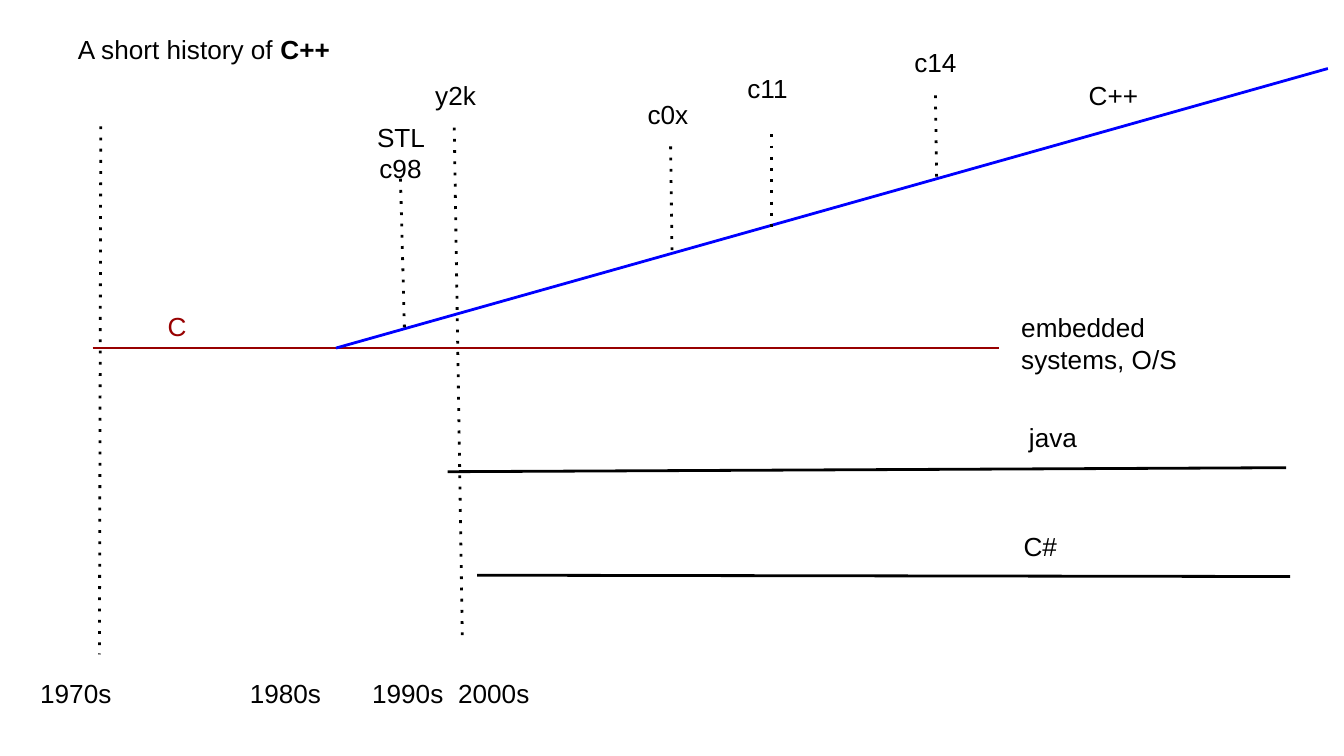
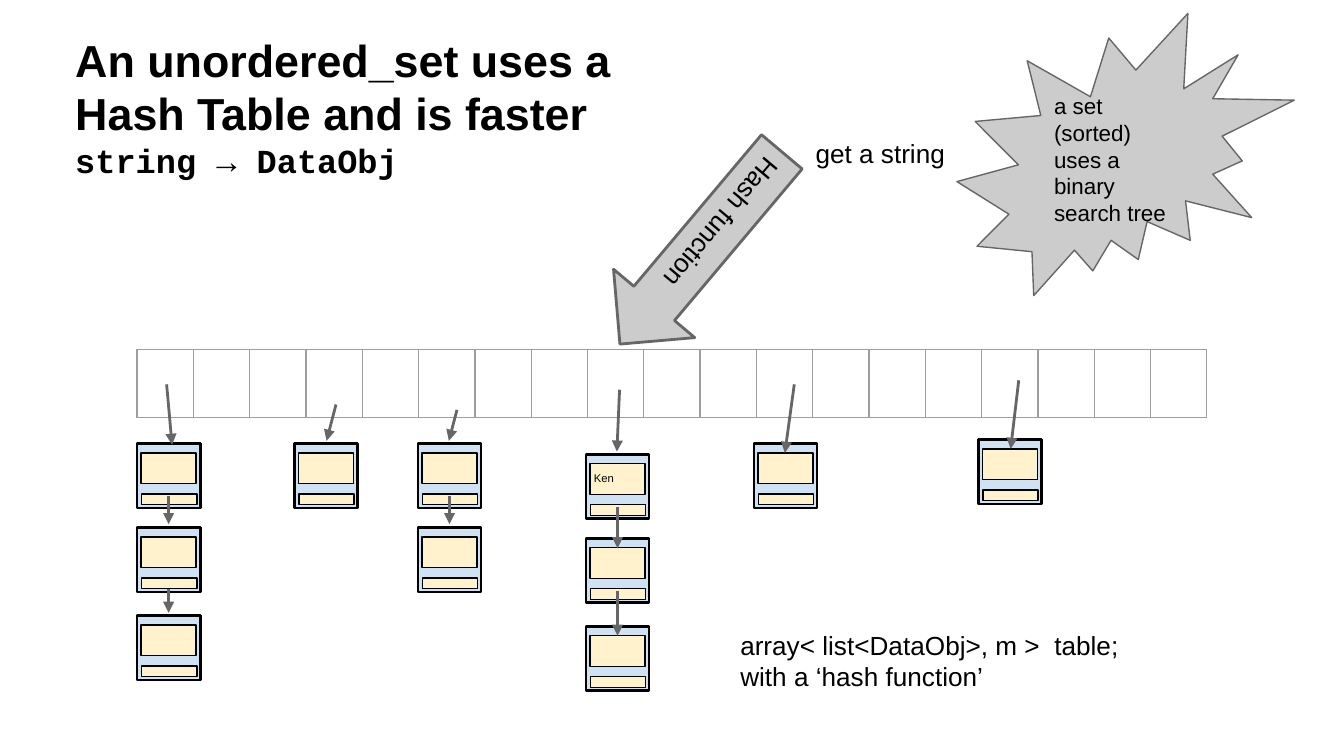
from lxml.etree import SubElement
from pptx import Presentation
from pptx.dml.color import RGBColor
from pptx.enum.shapes import MSO_CONNECTOR, MSO_SHAPE
from pptx.enum.text import MSO_ANCHOR, MSO_AUTO_SIZE, PP_ALIGN
from pptx.oxml.ns import qn
from pptx.util import Inches, Pt

COLORS = {
    "black": "000000", "c": "980000", "cpp": "0000FF", "arrow": "666666",
    "grid": "9E9E9E", "callout": "CCCCCC", "record": "CFE2F3", "field": "FFF2CC",
}
COLS, ROWS = 100, 56.25  # grid of tenths of an inch
INSET = Inches(0.1)
FRAME = {
    "word_wrap": True, "auto_size": MSO_AUTO_SIZE.NONE,
    "margin_left": INSET, "margin_right": INSET,
    "margin_top": INSET, "margin_bottom": INSET,
}
FONT = {"name": "Arial", "size": Pt(14), "bold": False}
HEADING = {"size": Pt(24), "bold": True}
CODE = {"name": "Courier New", "size": Pt(18), "bold": True}


def grid(*values):
    return [Inches(v / 10) for v in values]


def rgb(name):
    return RGBColor.from_string(COLORS[name])


def apply(obj, values):
    for key, value in values.items():
        setattr(obj, key, value)


class Deck:
    def __init__(self):
        self.prs = Presentation()
        self.prs.slide_width, self.prs.slide_height = grid(COLS, ROWS)
        self.s = None

    def new_slide(self):
        self.s = self.prs.slides.add_slide(self.prs.slide_layouts[5])

    def set_text(self, sp, paragraphs, align=PP_ALIGN.LEFT,
                 anchor=MSO_ANCHOR.TOP, color="black", tabs=()):
        """Fill a shape; each paragraph is a list of (text, format) runs."""
        tf = sp.text_frame
        apply(tf, FRAME)
        tf.vertical_anchor = anchor
        for i, runs in enumerate(paragraphs):
            p = tf.add_paragraph() if i else tf.paragraphs[0]
            p.alignment = align
            if tabs:
                stops = SubElement(p._p.get_or_add_pPr(), qn("a:tabLst"))
                for pos in grid(*tabs):
                    SubElement(stops, qn("a:tab"), pos=str(pos), algn="l")
            for text, style in runs:
                if text == "\n":
                    p.add_line_break()
                    continue
                r = p.add_run()
                r.text = text
                apply(r.font, {**FONT, **style})
                r.font.color.rgb = rgb(color)

    def title(self, box, runs, anchor=MSO_ANCHOR.TOP):
        sp = self.s.shapes.title
        apply(sp, dict(zip(("left", "top", "width", "height"), grid(*box))))
        self.set_text(sp, [runs], anchor=anchor)

    def text(self, box, *lines, style=None, **options):
        sp = self.s.shapes.add_textbox(*grid(*box))
        self.set_text(sp, [[(line, style or {})] for line in lines], **options)

    def label(self, box, line):
        self.text(box, line, align=PP_ALIGN.CENTER, anchor=MSO_ANCHOR.MIDDLE)

    def line(self, start, end, color="black", dash=None, arrow=False):
        sp = self.s.shapes.add_connector(
            MSO_CONNECTOR.STRAIGHT, *grid(*start, *end))
        sp.line.color.rgb = rgb(color)
        sp.line.width = Pt(1.5)
        spPr = sp._element.spPr
        ln = spPr.find(qn("a:ln"))
        if dash:
            SubElement(ln, qn("a:prstDash"), val=dash)
        if arrow:
            SubElement(ln, qn("a:tailEnd"), type="triangle")
        SubElement(spPr, qn("a:effectLst"))

    def shape(self, kind, box, fill, line, width, parent=None):
        sp = (parent or self.s).shapes.add_shape(kind, *grid(*box))
        sp.shadow.inherit = False
        sp.fill.solid()
        sp.fill.fore_color.rgb = rgb(fill)
        sp.line.color.rgb = rgb(line)
        sp.line.width = Pt(width)
        return sp

    def callout(self, kind, box, text, size, width, rotation=0):
        sp = self.shape(kind, box, "callout", "arrow", width)
        sp.rotation = rotation
        self.set_text(sp, [[(text, {"size": Pt(size)})]],
                      anchor=MSO_ANCHOR.MIDDLE)

    def record(self, left, top):
        """A list node: a data field above a narrow pointer field."""
        group = self.s.shapes.add_group_shape()
        for dx, dy, w, h, fill, width in (
                (0, 0, 4.7, 4.8, "record", 1.5),
                (0.35, 3.75, 4.1, 0.8, "field", 0.75),
                (0.3, 0.7, 4.1, 2.3, "field", 0.75)):
            self.shape(MSO_SHAPE.RECTANGLE, (left + dx, top + dy, w, h),
                       fill, "black", width, group)

    def empty_row(self, left, top, count, col_width, height):
        tbl = self.s.shapes.add_table(
            1, count, *grid(left, top, count * col_width, height)).table
        apply(tbl, {"first_row": False, "horz_banding": False})
        for i in range(count):
            tbl.columns[i].width = grid(col_width)[0]
            cell = tbl.cell(0, i)
            apply(cell, {k: INSET for k in FRAME if k.startswith("margin")})
            tcPr = cell._tc.get_or_add_tcPr()
            for side in ("lnL", "lnR", "lnT", "lnB"):
                ln = SubElement(tcPr, qn(f"a:{side}"), w=str(Pt(0.75)))
                fill = SubElement(ln, qn("a:solidFill"))
                SubElement(fill, qn("a:srgbClr"), val=COLORS["grid"])
            cell.fill.background()


def history(deck):
    deck.new_slide()
    deck.title((4.8, 1.5, 31.8, 4.9),
               [("A short history of ", {}), ("C++", {"bold": True})])

    # Languages
    for start, end, color in (
            ((6.9, 25.9), (74.3, 25.9), "c"),
            ((25, 25.9), (98.8, 5.1), "cpp"),
            ((33.3, 35.1), (95.7, 34.8), "black"),
            ((35.5, 42.8), (96, 42.9), "black")):
        deck.line(start, end, color)
    deck.text((11.5, 22.1, 5, 3.9), "C", color="c")
    deck.text((75, 22.2, 15.8, 5.7), "embedded systems, O/S")
    deck.label((78.7, 5.1, 8.3, 3.9), "C++")
    deck.label((74.2, 30.1, 8.3, 4.9), "java")
    deck.label((74.2, 38.2, 6.4, 4.9), "C#")

    # Milestones
    for start, end in (
            ((7.5, 9.4), (7.4, 48.7)),
            ((29.8, 13.3), (30.1, 24.7)),
            ((33.8, 9.5), (34.4, 47.3)),
            ((49.9, 10.9), (50, 18.7)),
            ((57.4, 10), (57.4, 16.9)),
            ((69.6, 7.1), (69.7, 13.7))):
        deck.line(start, end, dash="dot")
    for left, top, height, name in (
            (26.4, 9.4, 3.9, "STL c98"), (30.5, 4.6, 4.9, "y2k"),
            (46.3, 6, 4.9, "c0x"), (53.7, 4.1, 4.9, "c11"),
            (66.2, 2.2, 4.9, "c14")):
        deck.label((left, top, 6.8, height), name)

    # Decades
    deck.text((2, 49.4, 93.9, 3.1), "1970s\t1980s\t1990s\t2000s",
              tabs=(15.6, 24.7, 31.1))


def hash_table(deck):
    deck.new_slide()
    deck.title((4.6, 2.5, 47.2, 11.9),
               [("An unordered_set uses a Hash Table and is faster", HEADING),
                ("\n", {}), ("string → DataObj", CODE)],
               anchor=MSO_ANCHOR.BOTTOM)

    # Buckets
    deck.empty_row(10.2, 26, count=19, col_width=4.19, height=4.2)

    # Chains: left, top, bucket arrow, vertical spans of the next-pointers
    steps = (0, 6.25, 12.8)
    for left, top, start, end, links in (
            (10.2, 33, (12.4, 28.6), (12.8, 33.1), ((36.9, 39), (43.8, 45.6))),
            (21.9, 33, (25, 30.1), (24.3, 32.8), ()),
            (31.1, 33, (34, 30.5), (33.4, 32.8), ((36.9, 39),)),
            (43.6, 33.8, (46.1, 29), (45.9, 33.6), ((37.7, 40.8), (44, 47.3))),
            (56.1, 33, (59.1, 28.6), (58.4, 33.7), ()),
            (72.8, 32.7, (75.8, 28.3), (75.2, 33.4), ())):
        for step in steps[:len(links) + 1]:
            deck.record(left, top + step)
        deck.line(start, end, "arrow", arrow=True)
        for y1, y2 in links:
            x = left + 2.35
            deck.line((x, y1), (x, y2), "arrow", arrow=True)
    deck.text((43.2, 34.1, 5.5, 3.1), "Ken", style={"size": Pt(6)})

    # Hash function and notes
    deck.text((59.7, 9.2, 19, 3.3), "get a string")
    deck.callout(MSO_SHAPE.RIGHT_ARROW, (42.8, 14.5, 18.7, 7.9),
                 "Hash function", 14, 1.5, rotation=130.1)
    deck.text((54.1, 45.8, 38.4, 6.1),
              "array< list<DataObj>, m >  table;", "with a ‘hash function’")
    deck.callout(MSO_SHAPE.EXPLOSION2, (71.2, 1, 25.1, 21),
                 "a set (sorted) uses a binary search tree", 12, 0.75)


def main():
    deck = Deck()
    history(deck)
    hash_table(deck)
    deck.prs.save("out.pptx")


if __name__ == "__main__":
    main()
